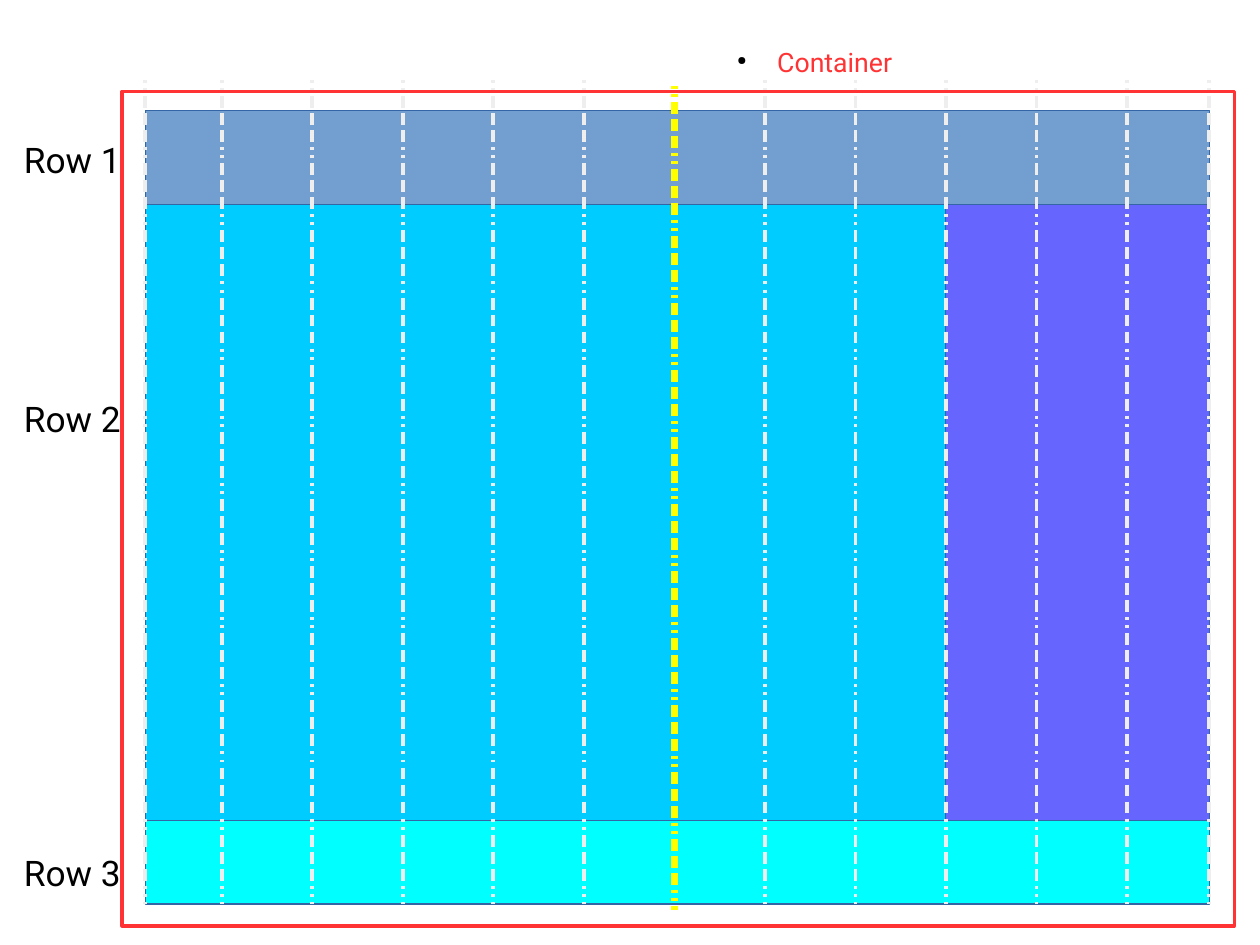
from lxml.etree import SubElement
from pptx import Presentation
from pptx.dml.color import RGBColor
from pptx.enum.shapes import MSO_CONNECTOR, MSO_SHAPE
from pptx.oxml.ns import qn
from pptx.util import Cm, Inches, Pt

HEADER_BLUE = RGBColor(0x72, 0x9F, 0xCF)
MAIN_BLUE = RGBColor(0x00, 0xCC, 0xFF)
SIDE_VIOLET = RGBColor(0x66, 0x66, 0xFF)
FOOTER_CYAN = RGBColor(0x00, 0xFF, 0xFF)
EDGE_BLUE = RGBColor(0x34, 0x65, 0xA4)
GUIDE_GRAY = RGBColor(0xEE, 0xEE, 0xEE)
CENTER_YELLOW = RGBColor(0xFF, 0xFF, 0x00)
CONTAINER_RED = RGBColor(0xFF, 0x33, 0x33)
BLACK = RGBColor(0, 0, 0)

FONT = "Roboto"
GRID_LEFT, GRID_RIGHT = 1.27, 10.58
FIRST_GUIDE, GUIDE_STEP, INNER_GUIDES = 1.94, 0.792, 11
CENTER_GUIDE, SIDEBAR_GUIDE = 5, 8
GUIDE_HEIGHT = 7.21
HEADER_TOP, MAIN_TOP, FOOTER_TOP, GRID_BOTTOM = 0.97, 1.79, 7.18, 7.91
DASH, DOT, GAP = 7.5, 1.9, 3.22
LABEL_LINE, LABEL_PITCH = 26.6, 40.8


def add_region(slide, left, top, right, bottom, fill, edge=EDGE_BLUE, weight=0):
    """Draw one rectangle between the given edges."""
    region = slide.shapes.add_shape(
        MSO_SHAPE.RECTANGLE, Inches(left), Inches(top),
        Inches(right - left), Inches(bottom - top))
    region.shadow.inherit = False
    if fill is None:
        region.fill.background()
    else:
        region.fill.solid()
        region.fill.fore_color.rgb = fill
    region.line.color.rgb = edge
    region.line.width = Pt(weight)


def add_guide(slide, x, top=0.7, color=GUIDE_GRAY, weight=2.3):
    """Draw a vertical guide with two dots and three dashes per period."""
    guide = slide.shapes.add_connector(
        MSO_CONNECTOR.STRAIGHT, Inches(x), Inches(top),
        Inches(x), Inches(top + GUIDE_HEIGHT))
    guide.line.color.rgb = color
    guide.line.width = Pt(weight)
    properties = guide._element.spPr
    pattern = SubElement(properties.find(qn("a:ln")), qn("a:custDash"))
    for length in [DOT] * 2 + [DASH] * 3:
        SubElement(pattern, qn("a:ds"),
                   d=str(round(length / weight * 100000)),
                   sp=str(round(GAP / weight * 100000)))
    SubElement(properties, qn("a:effectLst"))


def add_text_frame(slide, left, top, width, height):
    """Add a wrapping text box without margins and return its frame."""
    frame = slide.shapes.add_textbox(
        Inches(left), Inches(top), Inches(width), Inches(height)).text_frame
    frame.word_wrap = True
    frame.margin_left = frame.margin_right = 0
    frame.margin_top = frame.margin_bottom = 0
    return frame


def add_run(paragraph, text, size, color):
    """Append a formatted run to a paragraph."""
    run = paragraph.add_run()
    run.text = text
    run.font.name = FONT
    run.font.size = Pt(size)
    run.font.color.rgb = color


def add_row_labels(slide, labels):
    """List row labels, each a number of line pitches below the last."""
    frame = add_text_frame(slide, 0.21, 1.21, 2.2, 6.51)
    for index, (label, pitches) in enumerate(labels):
        paragraph = frame.add_paragraph() if index else frame.paragraphs[0]
        if pitches:
            paragraph.space_before = Pt(pitches * LABEL_PITCH - LABEL_LINE)
        add_run(paragraph, label, 22.2, BLACK)


def add_container_caption(slide):
    """Add the bulleted caption above the container."""
    caption = add_text_frame(slide, 6.33, 0.4, 1.57, 0.51).paragraphs[0]
    add_run(caption, "Container", 16.8, CONTAINER_RED)
    properties = caption._p.get_or_add_pPr()
    properties.set("marL", str(Inches(0.47)))
    properties.set("indent", str(Inches(-0.35)))
    bullet_color = SubElement(properties, qn("a:buClr"))
    SubElement(bullet_color, qn("a:srgbClr"), val=str(BLACK))
    SubElement(properties, qn("a:buSzPct"), val="45000")
    SubElement(properties, qn("a:buChar"), char="●")


def main():
    """Build the grid layout slide."""
    deck = Presentation()
    deck.slide_width, deck.slide_height = Cm(28), Cm(21)
    deck.element.sldSz.attrib.pop("type", None)
    slide = deck.slides.add_slide(deck.slide_layouts[6])

    inner_guides = [FIRST_GUIDE + i * GUIDE_STEP for i in range(INNER_GUIDES)]
    sidebar_left = inner_guides[SIDEBAR_GUIDE]
    center = inner_guides.pop(CENTER_GUIDE)

    add_region(slide, GRID_LEFT, FOOTER_TOP, GRID_RIGHT, GRID_BOTTOM, FOOTER_CYAN)
    add_region(slide, sidebar_left, MAIN_TOP, GRID_RIGHT, FOOTER_TOP, SIDE_VIOLET)
    add_region(slide, GRID_LEFT, HEADER_TOP, GRID_RIGHT, MAIN_TOP, HEADER_BLUE)
    add_region(slide, GRID_LEFT, MAIN_TOP, sidebar_left, FOOTER_TOP, MAIN_BLUE)

    for x in [GRID_LEFT, *inner_guides, GRID_RIGHT]:
        add_guide(slide, x)
    add_guide(slide, center, 0.75, CENTER_YELLOW, 4.51)

    add_row_labels(slide, [("Row 1", 0), ("Row 2", 4), ("Row 3", 7)])
    add_region(slide, 1.07, 0.8, 10.8, 8.1, None, CONTAINER_RED, 2.3)
    add_container_caption(slide)
    deck.save("out.pptx")


main()
